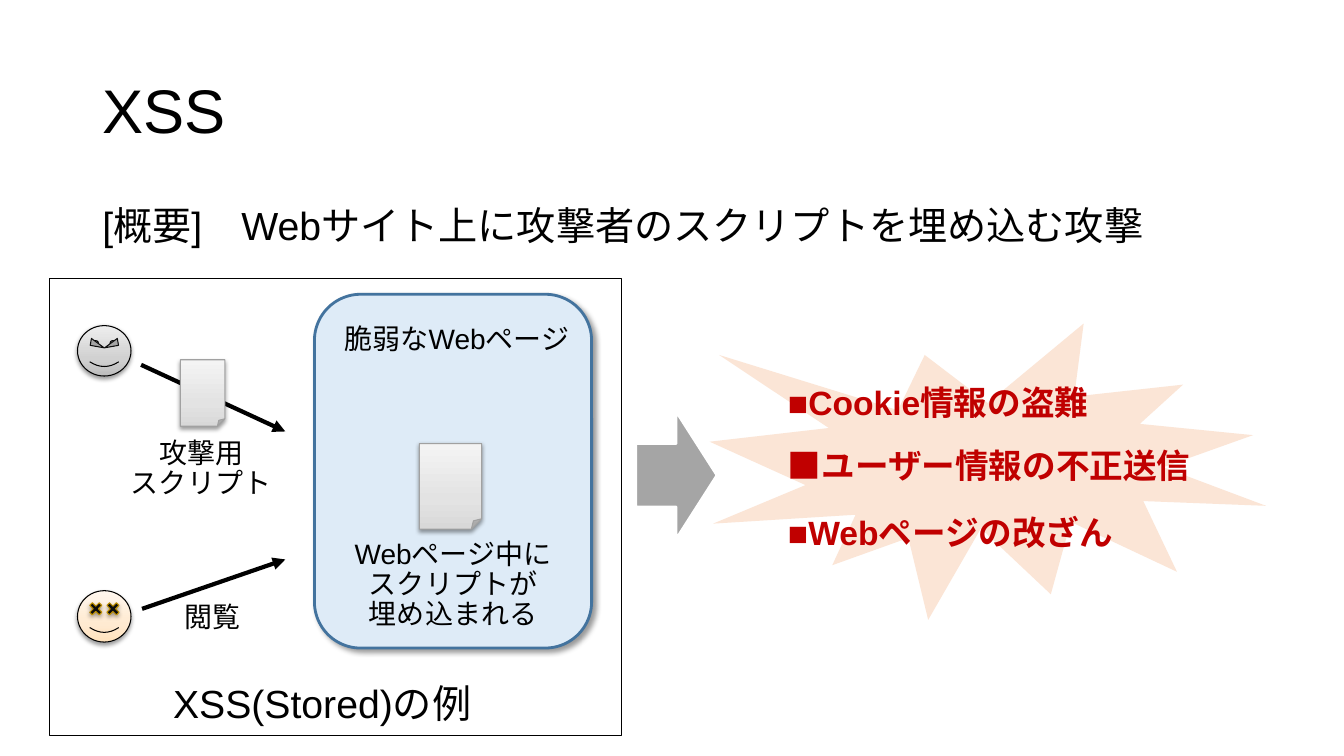
import pptx
import pptx.util
import pptx.dml.color
import pptx.enum.shapes
import pptx.enum.text
import pptx.oxml
import pptx.oxml.ns
from dataclasses import dataclass

Pt = pptx.util.Pt
Shape = pptx.enum.shapes.MSO_SHAPE
Align = pptx.enum.text.PP_ALIGN
Anchor = pptx.enum.text.MSO_ANCHOR
rgb = pptx.dml.color.RGBColor.from_string
DRAWING = pptx.oxml.ns.nsdecls("a")


@dataclass(frozen=True)
class Theme:
    font: str = "Arial"
    title_size: int = 44
    body_size: int = 28
    risk_size: int = 24
    label_size: int = 20
    ink: str = "000000"
    white: str = "FFFFFF"
    risk: str = "C00000"
    burst: str = "FBE5D6"
    grey: str = "A5A5A5"
    eye: str = "0D0D0D"
    eye_glow: str = "BF9000"
    site: str = "DEEBF7"
    site_edge: str = "43739E"
    script_edge: str = "A1A1A1"
    attacker: tuple = ("BDBDBD", "D1D1D1", "EEEEEE")
    visitor: tuple = ("FFE2BD", "FFEAD1", "FFF7EE")
    script: tuple = ("D8D8D8", "E3E3E3", "F4F4F4")
    soft_shadow: tuple = (38, 3.1, 1.6, 90)
    site_shadow: tuple = (40, 4, 3, 45)


theme = Theme()
deck = pptx.Presentation()
deck.slide_width, deck.slide_height = Pt(960), Pt(540)
slide = deck.slides.add_slide(deck.slide_layouts[6])


def add_text(box, lines, size, align=Align.LEFT, color=theme.ink, bold=False,
             spacing=0.9, gaps=(0, 0, 0), anchor=Anchor.TOP):
    frame = slide.shapes.add_textbox(*map(Pt, box)).text_frame
    frame.word_wrap = True
    frame.vertical_anchor = anchor
    for index, line in enumerate(lines):
        paragraph = frame.add_paragraph() if index else frame.paragraphs[0]
        paragraph.text = line
        paragraph.alignment = align
        paragraph.line_spacing = spacing
        if gaps[index]:
            paragraph.space_before = Pt(gaps[index])
        paragraph.font.name = theme.font
        paragraph.font.size = Pt(size)
        paragraph.font.bold = bold
        paragraph.font.color.rgb = rgb(color)


def add_figure(kind, box, fill=None, edge=None, width=0.75, shadow=None):
    figure = slide.shapes.add_shape(kind, *map(Pt, box))
    figure.shadow.inherit = False
    properties = figure._element.spPr
    if fill is None:
        figure.fill.background()
    elif isinstance(fill, str):
        figure.fill.solid()
        figure.fill.fore_color.rgb = rgb(fill)
    else:
        stops = "".join(
            f'<a:gs pos="{position}"><a:srgbClr val="{color}"/></a:gs>'
            for position, color in zip((0, 35000, 100000), fill))
        properties.insert(2, pptx.oxml.parse_xml(
            f'<a:gradFill {DRAWING} rotWithShape="1"><a:gsLst>{stops}</a:gsLst>'
            '<a:lin ang="16200000" scaled="0"/></a:gradFill>'))
    if edge:
        figure.line.color.rgb = rgb(edge)
        figure.line.width = Pt(width)
    else:
        figure.line.fill.background()
    if shadow:
        alpha, blur, distance, angle = shadow
        properties.find(pptx.oxml.ns.qn("a:effectLst")).append(pptx.oxml.parse_xml(
            f'<a:outerShdw {DRAWING} blurRad="{Pt(blur)}" dist="{Pt(distance)}" '
            f'dir="{angle * 60000}" rotWithShape="0"><a:srgbClr val="{theme.ink}">'
            f'<a:alpha val="{alpha * 1000}"/></a:srgbClr></a:outerShdw>'))
    return figure


add_figure(Shape.RECTANGLE, (35.3, 198.7, 408.2, 326.2), edge=theme.ink, width=0.25)
add_text((66, 28.8, 828, 104.4), ["XSS"], theme.title_size, anchor=Anchor.MIDDLE)
add_text((66, 144, 828, 342.7), ["[概要]\u3000Webサイト上に攻撃者のスクリプトを埋め込む攻撃".replace("\u3000", "　")],
         theme.body_size)

add_figure(Shape.EXPLOSION1, (506.9, 231.1, 397.4, 211.7), theme.burst)
add_text((555.8, 269.3, 413.3, 135.4),
         ["■Cookie情報の盗難", "■ユーザー情報の不正送信", "■Webページの改ざん"],
         theme.risk_size, color=theme.risk, bold=True, spacing=1.0, gaps=(0, 16, 19))
add_figure(Shape.RIGHT_ARROW, (454.3, 294.5, 57.6, 90), theme.grey, theme.white, 1.5)

add_figure(Shape.SMILEY_FACE, (55.4, 232.6, 38.2, 36), theme.attacker, theme.ink,
           shadow=theme.soft_shadow)
for left, tilt, flipped in ((64.8, 10, False), (74.2, 350, True)):
    attacker_eye = add_figure(Shape.RIGHT_TRIANGLE, (left, 242.6, 10.1, 5),
                              theme.grey, theme.eye)
    attacker_eye.rotation = tilt
    if flipped:
        attacker_eye._element.spPr.xfrm.set("flipH", "1")

add_text((116.6, 485.3, 257.8, 38.9), ["XSS(Stored)の例"], theme.body_size)
add_figure(Shape.ROUNDED_RECTANGLE, (224.6, 210.2, 198, 252.7), theme.site,
           theme.site_edge, 2, theme.site_shadow)
add_text((239, 229, 179.3, 78.5), ["脆弱なWebページ"], theme.label_size)

for ends in ((100.8, 260.6, 203.8, 308.2), (101.5, 434.9, 203.8, 399.6)):
    access = slide.shapes.add_connector(
        pptx.enum.shapes.MSO_CONNECTOR.STRAIGHT, *map(Pt, ends))
    access.line.color.rgb = rgb(theme.ink)
    access.line.width = Pt(3)
    access.line._get_or_add_ln().append(
        pptx.oxml.parse_xml(f'<a:tailEnd {DRAWING} type="triangle"/>'))
    access._element.spPr.append(pptx.oxml.parse_xml(f"<a:effectLst {DRAWING}/>"))

for script_box in ((128.9, 257, 31.7, 47.5), (299.5, 316.8, 44.6, 61.2)):
    add_figure(Shape.FOLDED_CORNER, script_box, theme.script, theme.script_edge,
               shadow=theme.soft_shadow)

for label_box, lines in (
    ((54, 310.3, 179.3, 48.2), ["攻撃用\nスクリプト"]),
    ((114.5, 427.7, 74.9, 31), ["閲覧"]),
    ((234, 382.3, 179.3, 48.2), ["Webページ中に", "スクリプトが", "埋め込まれる"]),
):
    add_text(label_box, lines, theme.label_size, Align.CENTER)

add_figure(Shape.SMILEY_FACE, (55.4, 421.9, 38.2, 36.7), theme.visitor, theme.ink,
           shadow=theme.soft_shadow)
for left in (61.9, 74.2):
    visitor_eye = add_figure(Shape.MATH_MULTIPLY, (left, 428.4, 13, 13), theme.eye,
                             theme.eye_glow, shadow=theme.soft_shadow)
    visitor_eye.adjustments[0] = 0.204

deck.save("out.pptx")
